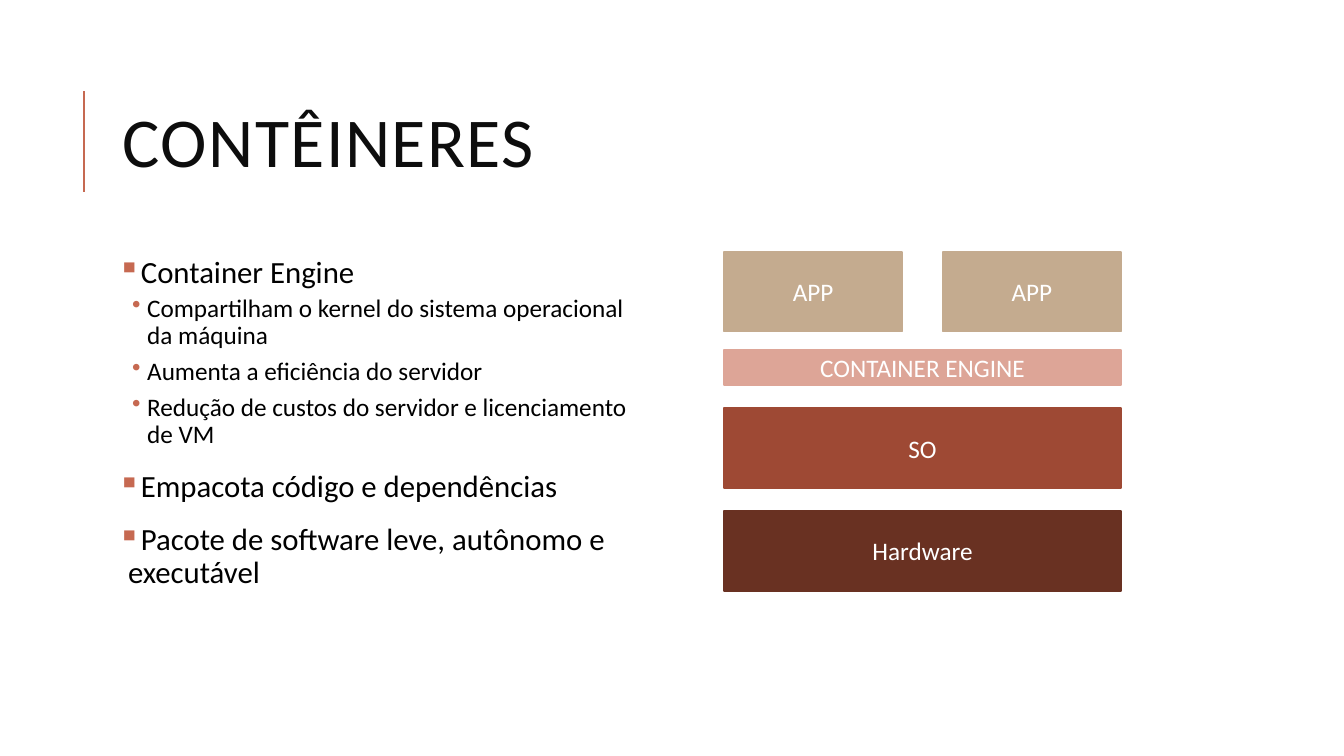
from dataclasses import dataclass

import lxml.etree
import pptx
import pptx.dml.color
import pptx.enum.shapes
import pptx.enum.text
import pptx.oxml.ns
import pptx.slide
import pptx.text.text
import pptx.util

Inches = pptx.util.Inches
Pt = pptx.util.Pt
RGBColor = pptx.dml.color.RGBColor
qn = pptx.oxml.ns.qn

FONT = "Calibri"
ACCENT = RGBColor(0xC6, 0x69, 0x51)
TITLE_COLOR = RGBColor(0x0D, 0x0D, 0x0D)
BLACK = RGBColor(0x00, 0x00, 0x00)
WHITE = RGBColor(0xFF, 0xFF, 0xFF)
SAND = RGBColor(0xC4, 0xAB, 0x8F)
PINK = RGBColor(0xDD, 0xA5, 0x97)
RUST = RGBColor(0x9E, 0x49, 0x34)
BROWN = RGBColor(0x69, 0x31, 0x22)

STACK_LEFT = 7.18
STACK_WIDTH = 3.94
APP_WIDTH = 1.77
LAYER_HEIGHT = 0.79


@dataclass(frozen=True)
class BulletStyle:
    level: int
    mark: str
    size: float
    margin: float
    indent: float
    before: float
    after: float


@dataclass(frozen=True)
class Layer:
    label: str
    top: float
    color: RGBColor
    left: float = STACK_LEFT
    width: float = STACK_WIDTH
    height: float = LAYER_HEIGHT


TOPIC = BulletStyle(0, "▪", 22, 0.1, -0.1, 12, 2)
DETAIL = BulletStyle(1, "•", 18, 0.29, -0.15, 2, 4)

BULLETS = [
    (TOPIC, "Container Engine"),
    (DETAIL, "Compartilham o kernel do sistema operacional da máquina"),
    (DETAIL, "Aumenta a eficiência do servidor"),
    (DETAIL, "Redução de custos do servidor e licenciamento de VM"),
    (TOPIC, "Empacota código e dependências"),
    (TOPIC, "Pacote de software leve, autônomo e executável"),
]

LAYERS = [
    Layer("Hardware", 5.07, BROWN),
    Layer("SO", 4.05, RUST),
    Layer("CONTAINER ENGINE", 3.47, PINK, height=0.35),
    Layer("APP", 2.5, SAND, width=APP_WIDTH),
    Layer("APP", 2.5, SAND, left=STACK_LEFT + STACK_WIDTH - APP_WIDTH, width=APP_WIDTH),
]


def format_runs(paragraph: pptx.text.text._Paragraph, size: float, color: RGBColor) -> None:
    for run in paragraph.runs:
        run.font.name = FONT
        run.font.size = Pt(size)
        run.font.color.rgb = color


def add_accent_line(slide: pptx.slide.Slide) -> None:
    line = slide.shapes.add_connector(
        pptx.enum.shapes.MSO_CONNECTOR.STRAIGHT,
        Inches(0.83), Inches(1.9), Inches(0.83), Inches(0.9),
    )
    line.line.color.rgb = ACCENT
    line.line.width = Pt(1.5)
    lxml.etree.SubElement(line._element.spPr, qn("a:effectLst"))


def add_title(slide: pptx.slide.Slide, text: str) -> None:
    box = slide.shapes.add_textbox(Inches(1.12), Inches(0.64), Inches(10.63), Inches(1.64))
    text_frame = box.text_frame
    text_frame.word_wrap = True
    text_frame.vertical_anchor = pptx.enum.text.MSO_ANCHOR.MIDDLE
    text_frame.text = text
    paragraph = text_frame.paragraphs[0]
    paragraph.line_spacing = 0.8
    format_runs(paragraph, 50, TITLE_COLOR)
    paragraph.runs[0].font._element.set("spc", "100")


def style_bullet(paragraph: pptx.text.text._Paragraph, style: BulletStyle) -> None:
    paragraph.level = style.level
    paragraph.line_spacing = 0.9
    paragraph.space_before = Pt(style.before)
    paragraph.space_after = Pt(style.after)
    format_runs(paragraph, style.size, BLACK)
    properties = paragraph._element.get_or_add_pPr()
    properties.set("marL", str(Inches(style.margin)))
    properties.set("indent", str(Inches(style.indent)))
    bullet_color = lxml.etree.SubElement(properties, qn("a:buClr"))
    lxml.etree.SubElement(bullet_color, qn("a:srgbClr"), val=str(ACCENT))
    lxml.etree.SubElement(properties, qn("a:buChar"), char=style.mark)


def add_bullets(slide: pptx.slide.Slide) -> None:
    box = slide.shapes.add_textbox(Inches(1.12), Inches(2.5), Inches(5.2), Inches(4.4))
    text_frame = box.text_frame
    text_frame.word_wrap = True
    text_frame.margin_left = text_frame.margin_right = Inches(0.05)
    text_frame.margin_top = text_frame.margin_bottom = Inches(0.05)
    text_frame.text = "\n".join(text for _, text in BULLETS)
    for paragraph, (style, _) in zip(text_frame.paragraphs, BULLETS):
        style_bullet(paragraph, style)


def add_layer(slide: pptx.slide.Slide, layer: Layer) -> None:
    shape = slide.shapes.add_shape(
        pptx.enum.shapes.MSO_SHAPE.RECTANGLE,
        Inches(layer.left), Inches(layer.top), Inches(layer.width), Inches(layer.height),
    )
    shape.shadow.inherit = False
    shape.fill.solid()
    shape.fill.fore_color.rgb = layer.color
    shape.line.color.rgb = layer.color
    shape.line.width = Pt(1.25)
    text_frame = shape.text_frame
    text_frame.vertical_anchor = pptx.enum.text.MSO_ANCHOR.MIDDLE
    text_frame.text = layer.label
    paragraph = text_frame.paragraphs[0]
    paragraph.alignment = pptx.enum.text.PP_ALIGN.CENTER
    format_runs(paragraph, 18, WHITE)


def main() -> None:
    presentation = pptx.Presentation()
    presentation.slide_width = Inches(13.33)
    presentation.slide_height = Inches(7.5)
    slide = presentation.slides.add_slide(presentation.slide_layouts[6])

    # Heading
    add_accent_line(slide)
    add_title(slide, "CONTÊINERES")

    # Explanation on the left
    add_bullets(slide)

    # Container stack on the right, from the bottom up
    for layer in LAYERS:
        add_layer(slide, layer)

    presentation.save("out.pptx")


if __name__ == "__main__":
    main()
